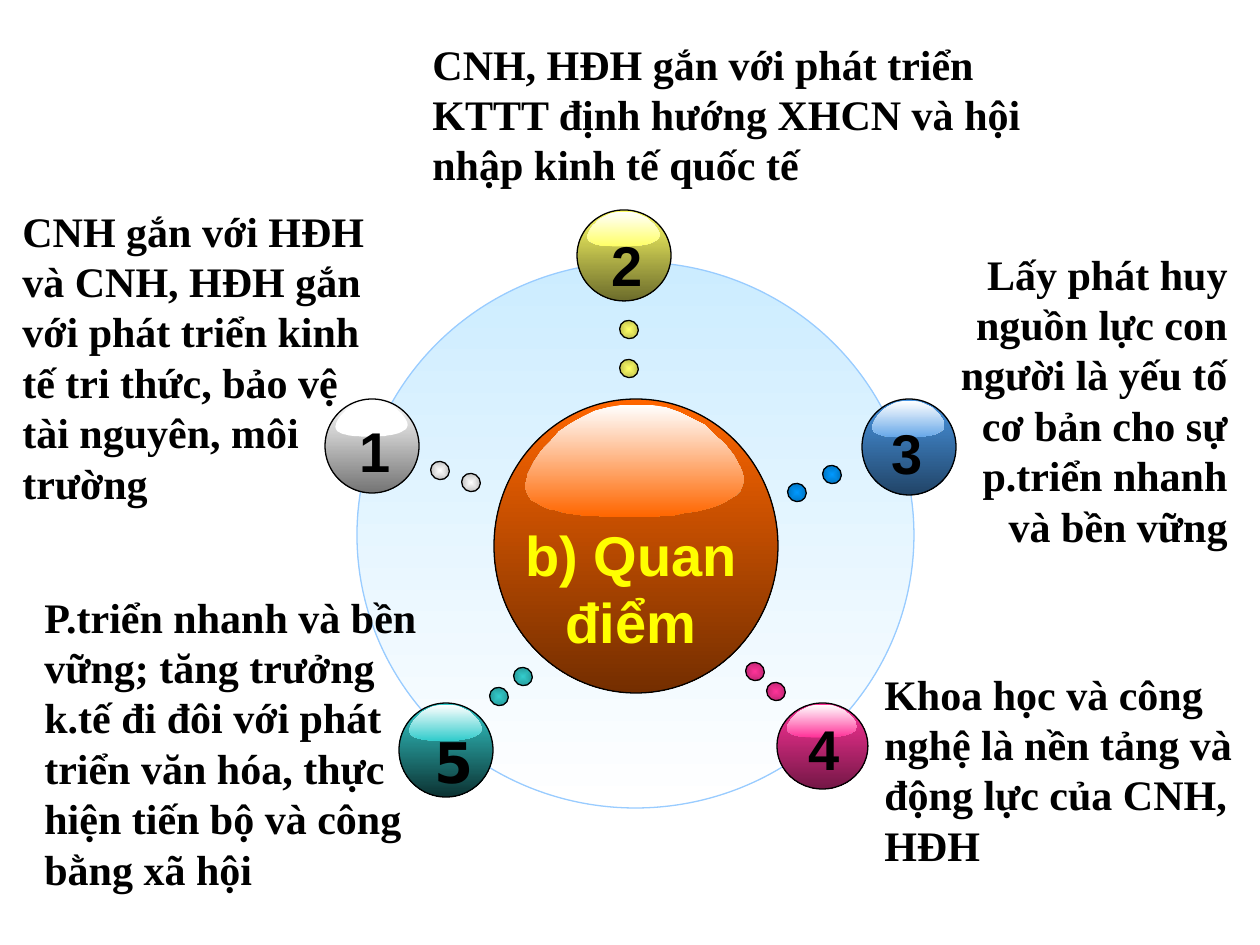
from typing import NamedTuple

from lxml.etree import SubElement
from pptx import Presentation
from pptx.dml.color import RGBColor
from pptx.enum.shapes import MSO_SHAPE
from pptx.enum.text import MSO_AUTO_SIZE, PP_ALIGN
from pptx.oxml.ns import qn
from pptx.util import Emu, Pt

PX_PER_INCH = 126
BLACK = RGBColor(0x00, 0x00, 0x00)
WHITE = RGBColor(0xFF, 0xFF, 0xFF)
YELLOW = RGBColor(0xFF, 0xFF, 0x00)
PALE_BLUE = RGBColor(0xCC, 0xEC, 0xFF)
RING_LINE = RGBColor(0x99, 0xCC, 0xFF)
ORANGE = RGBColor(0xFF, 0x66, 0x00)
BROWN = RGBColor(0x74, 0x2E, 0x00)
LEMON = RGBColor(0xFF, 0xFF, 0x66)
OLIVE = RGBColor(0x6C, 0x6C, 0x2B)
LEMON_EDGE = RGBColor(0xAA, 0xAA, 0x44)
TEAL = RGBColor(0x33, 0xCC, 0xCC)
DARK_TEAL = RGBColor(0x0C, 0x32, 0x32)
TEAL_EDGE = RGBColor(0x22, 0x88, 0x88)
BLUE = RGBColor(0x49, 0x96, 0xE3)
NAVY = RGBColor(0x21, 0x44, 0x67)
SKY = RGBColor(0x66, 0xA7, 0xE8)
AZURE = RGBColor(0x00, 0x99, 0xFF)
AZURE_EDGE = RGBColor(0x00, 0x66, 0xAA)
PINK = RGBColor(0xFF, 0x33, 0x99)
PLUM = RGBColor(0x74, 0x17, 0x46)
PINK_EDGE = RGBColor(0xAA, 0x22, 0x66)
GREY = RGBColor(0x74, 0x74, 0x74)
GREY_EDGE = RGBColor(0xAA, 0xAA, 0xAA)

DOT_W, DOT_H, DOT_ROTATION = 18, 19, 303.8
NUMBER_W, NUMBER_H = 57, 81
# Outline of the highlight on a sphere, on a grid of 174 by 88
GLOSS = [
    (171, 49), (173, 54), (174, 59), (173, 63), (171, 68), (168, 71), (163, 74),
    (158, 77), (151, 80), (144, 82), (136, 84), (127, 85), (118, 87), (109, 87),
    (105, 88), (63, 88), (54, 87), (46, 87), (38, 86), (31, 85), (25, 83),
    (19, 82), (14, 80), (9, 77), (5, 75), (3, 72), (1, 68), (0, 64), (1, 60),
    (2, 55), (7, 45), (13, 36), (20, 29), (27, 21), (36, 15), (45, 10), (55, 5),
    (66, 2), (77, 0), (100, 0), (112, 2), (123, 6), (133, 11), (143, 16),
    (151, 24), (159, 31), (166, 40),
]


class Box(NamedTuple):
    x: int
    y: int
    w: int
    h: int


class Sphere(NamedTuple):
    box: Box
    top: RGBColor
    bottom: RGBColor
    gloss: RGBColor


class Node(NamedTuple):
    number: str
    font: str
    sphere: Sphere
    number_at: tuple[int, int]
    dots: list[tuple[int, int]]
    dot_colors: tuple[RGBColor, RGBColor]


class Note(NamedTuple):
    box: Box
    text: str
    align: PP_ALIGN = PP_ALIGN.LEFT


CENTER = Sphere(Box(494, 399, 284, 294), ORANGE, BROWN, ORANGE)
NODES = [
    Node("2", "Arial", Sphere(Box(577, 210, 94, 91), LEMON, OLIVE, LEMON),
         (599, 224), [(620, 320), (620, 359)], (LEMON, LEMON_EDGE)),
    Node("5", "DejaVu Sans", Sphere(Box(399, 703, 94, 94), TEAL, DARK_TEAL, TEAL),
         (422, 721), [(490, 687), (514, 667)], (TEAL, TEAL_EDGE)),
    Node("3", "Arial", Sphere(Box(862, 399, 94, 96), BLUE, NAVY, SKY),
         (879, 412), [(823, 465), (788, 483)], (AZURE, AZURE_EDGE)),
    Node("4", "Arial", Sphere(Box(777, 703, 91, 86), PINK, PLUM, PINK),
         (796, 708), [(767, 682), (746, 662)], (PINK, PINK_EDGE)),
    Node("1", "Arial", Sphere(Box(325, 399, 94, 94), WHITE, GREY, WHITE),
         (347, 410), [(431, 461), (462, 473)], (WHITE, GREY_EDGE)),
]
NOTES = [
    Note(Box(10, 199, 368, 315),
         "CNH gắn với HĐH và CNH, HĐH gắn với phát triển kinh tế tri thức, "
         "bảo vệ tài nguyên, môi trường"),
    Note(Box(420, 32, 651, 164),
         "CNH, HĐH gắn với phát triển KTTT định hướng XHCN và hội nhập "
         "kinh tế quốc tế"),
    Note(Box(935, 242, 305, 315),
         "Lấy phát huy nguồn lực con người là yếu tố cơ bản cho sự "
         "p.triển nhanh và bền vững", PP_ALIGN.RIGHT),
    Note(Box(32, 585, 410, 315),
         "P.triển nhanh và bền vững; tăng trưởng k.tế đi đôi với phát triển "
         "văn hóa, thực hiện tiến bộ và công bằng xã hội"),
    Note(Box(872, 662, 388, 214),
         "Khoa học và công nghệ là nền tảng và động lực của CNH, HĐH"),
]


def px(n: float) -> Emu:
    return Emu(round(n * 914400 / PX_PER_INCH))


def fill_gradient(sp, first: RGBColor, last: RGBColor, radial: bool = False) -> None:
    """Fill from top to bottom, or from the middle outwards."""
    sp.fill.gradient()
    sp.fill.gradient_angle = 270
    for stop, color, position in zip(sp.fill.gradient_stops, (first, last), (0, 1)):
        stop.color.rgb = color
        stop.position = position
    if radial:
        grad = sp._element.spPr.find(qn("a:gradFill"))
        grad.remove(grad.find(qn("a:lin")))
        middle = SubElement(grad, qn("a:path"), {"path": "rect"})
        SubElement(middle, qn("a:fillToRect"), dict.fromkeys("ltrb", "50000"))


def add_ellipse(s, box: Box, first: RGBColor, last: RGBColor,
                line: RGBColor = BLACK, radial: bool = False):
    sp = s.shapes.add_shape(MSO_SHAPE.OVAL, *map(px, box))
    sp.shadow.inherit = False
    fill_gradient(sp, first, last, radial)
    sp.line.color.rgb = line
    sp.line.width = Pt(0.75)
    return sp


def add_sphere(s, sphere: Sphere) -> None:
    x, y, w, h = sphere.box
    add_ellipse(s, sphere.box, sphere.top, sphere.bottom)
    outline = s.shapes.build_freeform(*GLOSS[0], scale=px(1))
    outline.add_line_segments(GLOSS[1:], close=True)
    sp = outline.convert_to_shape()
    sp.left, sp.top = px(x + 0.11 * w), px(y + 0.02 * h)
    sp.width, sp.height = px(0.77 * w), px(0.38 * h)
    sp.shadow.inherit = False
    fill_gradient(sp, WHITE, sphere.gloss)
    sp.line.fill.background()


def add_text(s, box: Box, lines: list[str], font: str, size: int,
             color: RGBColor = BLACK, align: PP_ALIGN = PP_ALIGN.LEFT,
             wrap: bool = False) -> None:
    tf = s.shapes.add_textbox(*map(px, box)).text_frame
    tf.word_wrap = wrap
    tf.auto_size = MSO_AUTO_SIZE.SHAPE_TO_FIT_TEXT
    for i, line in enumerate(lines):
        p = tf.add_paragraph() if i else tf.paragraphs[0]
        p.alignment = align
        r = p.add_run()
        r.text = line
        r.font.name, r.font.size, r.font.bold = font, Pt(size), True
        r.font.color.rgb = color


def add_node(s, node: Node) -> None:
    add_sphere(s, node.sphere)
    add_text(s, Box(*node.number_at, NUMBER_W, NUMBER_H), [node.number], node.font, 32)
    for x, y in node.dots:
        dot = add_ellipse(s, Box(x, y, DOT_W, DOT_H), *node.dot_colors, radial=True)
        dot.rotation = DOT_ROTATION


def main() -> None:
    prs = Presentation()
    prs.slide_width, prs.slide_height = px(1260), px(945)
    s = prs.slides.add_slide(prs.slide_layouts[6])
    add_ellipse(s, Box(357, 262, 557, 546), PALE_BLUE, WHITE, RING_LINE)
    add_sphere(s, CENTER)
    add_text(s, Box(505, 514, 252, 147), ["b) Quan ", "điểm"], "Arial", 32,
             YELLOW, PP_ALIGN.CENTER)
    for node in NODES:
        add_node(s, node)
    for note in NOTES:
        add_text(s, note.box, [note.text], "Times New Roman", 24,
                 align=note.align, wrap=True)
    prs.save("out.pptx")


if __name__ == "__main__":
    main()
